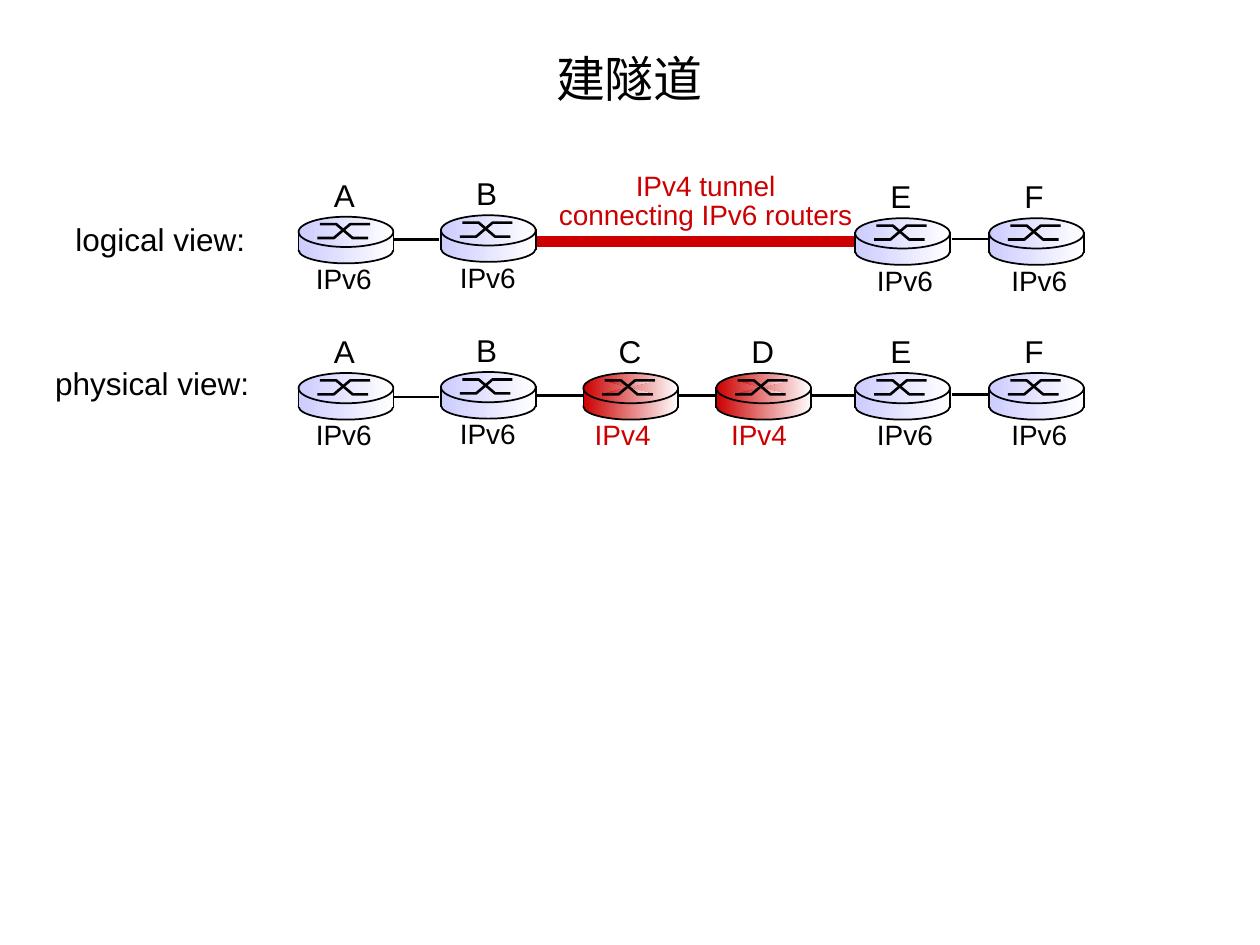
"""Build the slide on tunnelling IPv6 over IPv4, with a logical and a physical view."""
import pptx
import pptx.dml.color
import pptx.enum.shapes
import pptx.enum.text
import pptx.oxml.ns
import pptx.util
from lxml import etree

Cm, Pt = pptx.util.Cm, pptx.util.Pt
Kind = pptx.enum.shapes.MSO_SHAPE
Text = pptx.enum.text
qn = pptx.oxml.ns.qn
tint = pptx.dml.color.RGBColor.from_string
BLACK, RED, BLUE, WHITE = "000000", "CC0000", "CCCCFF", "FFFFFF"
CJK = "Noto Sans CJK SC"

deck = pptx.Presentation()
deck.slide_width, deck.slide_height = Cm(25.4), Cm(19.05)
slide = deck.slides.add_slide(deck.slide_layouts[5])


def write(words, left, top, width, height, size=18, color=BLACK, **form):
    """Add a text box with one paragraph for each line of words."""
    box = slide.shapes.add_textbox(Cm(left), Cm(top), Cm(width), Cm(height))
    frame = box.text_frame
    frame.text = words
    frame.word_wrap = False
    frame.auto_size = Text.MSO_AUTO_SIZE.SHAPE_TO_FIT_TEXT
    for para in frame.paragraphs:
        for key, value in form.items():
            setattr(para, key, value)
        for key, value in {"size": Pt(size), "name": "Arial"}.items():
            setattr(para.font, key, value)
        para.font.color.rgb = tint(color)


def wire(shapes, start, end, weight):
    """Add a straight black line without a shadow."""
    line = shapes.add_connector(pptx.enum.shapes.MSO_CONNECTOR.STRAIGHT,
                                *map(Cm, start + end))
    line.line.color.rgb = tint(BLACK)
    line.line.width = Pt(weight)
    etree.SubElement(line._element.spPr, qn("a:effectLst"))


title = slide.shapes.title
place = {"left": 0.94, "top": 0.64, "width": 23.5, "height": 1.88}
for key, value in place.items():
    setattr(title, key, Cm(value))
title.text_frame.text = "建隧道"
title.text_frame.vertical_anchor = Text.MSO_ANCHOR.MIDDLE
head = title.text_frame.paragraphs[0]
head.alignment = Text.PP_ALIGN.CENTER
font = head.runs[0].font
for key, value in {"size": Pt(28), "name": CJK}.items():
    setattr(font, key, value)
font.color.rgb = tint(BLACK)
props = head.runs[0]._r.get_or_add_rPr()
etree.SubElement(props, qn("a:ea")).set("typeface", CJK)

write("logical view:", 1.27, 4.32, 3.94, 1.02)
write("physical view:", 0.86, 7.21, 4.42, 1.02)
write("IPv4 tunnel\nconnecting IPv6 routers", 11, 3.38, 6.45, 1.42, 16, RED,
      alignment=Text.PP_ALIGN.CENTER, line_spacing=0.85)

tunnel = slide.shapes.add_shape(Kind.RECTANGLE, Cm(10.69), Cm(4.78), Cm(6.68), Cm(0.18))
tunnel.shadow.inherit = False
tunnel.fill.solid()
tunnel.fill.fore_color.rgb = tint(RED)
tunnel.line.color.rgb = tint(RED)
tunnel.line.width = Pt(0.75)

links = [(7.95, 8.84, 4.83), (19.2, 20.12, 4.82),
         (7.95, 8.84, 8), (10.82, 17.27, 7.97), (19.2, 20.09, 7.95)]
for left, right, level in links:
    wire(slide.shapes, (left, level), (right, level), 1.5)

places = {"A": (6.02, 0.1), "B": (8.89, 0.13), "C": (11.76, -0.02),
          "D": (14.44, 0.05), "E": (17.24, 0.19), "F": (19.94, 0.2)}
views = [{"A": 4.37, "B": 4.34, "E": 4.4, "F": 4.4},
         {"A": 7.52, "B": 7.5, "C": 7.52, "D": 7.52, "E": 7.52, "F": 7.52}]
discs = [(Kind.OVAL, 0.41, 1.91, 0.53, 1), (Kind.RECTANGLE, 0.35, 1.93, 0.33, 0),
         (Kind.OVAL, 0, 1.91, 0.61, 1)]
marks = [((0.38, 0.43), (0.71, 0.43), (1.04, 0.15), (1.44, 0.15)),
         ((0.43, 0.15), (0.76, 0.15), (1.09, 0.43), (1.4, 0.43))]

for view in views:
    for name, top in view.items():
        left, shift = places[name]
        old = name in "CD"
        shapes = slide.shapes.add_group_shape().shapes
        parts = []
        for kind, drop, width, height, weight in discs:
            disc = shapes.add_shape(kind, Cm(left), Cm(top + drop), Cm(width), Cm(height))
            parts.append((disc, True, weight))
        for mark in marks:
            start, *rest = [(Cm(left + x), Cm(top + y)) for x, y in mark]
            path = shapes.build_freeform(*start)
            path.add_line_segments(rest, close=False)
            parts.append((path.convert_to_shape(), old, 1.5))
        for part, filled, weight in parts:
            part.shadow.inherit = False
            if filled:
                part.fill.gradient()
                part.fill.gradient_angle = 0
                for stop, color in zip(part.fill.gradient_stops, (RED if old else BLUE, WHITE)):
                    stop.color.rgb = tint(color)
            else:
                part.fill.background()
            if weight:
                part.line.color.rgb = tint(BLACK)
                part.line.width = Pt(weight)
            else:
                part.line.fill.background()
        for side in (left, left + 1.91):
            wire(shapes, (side, top + 0.28), (side, top + 0.7), 1)
        write(name, left + 0.46, top - 0.95, 0.94, 1.02)
        write("IPv4" if old else "IPv6", left + shift, top + 0.78, 1.65, 0.94,
              16, RED if old else BLACK)

deck.save("out.pptx")
